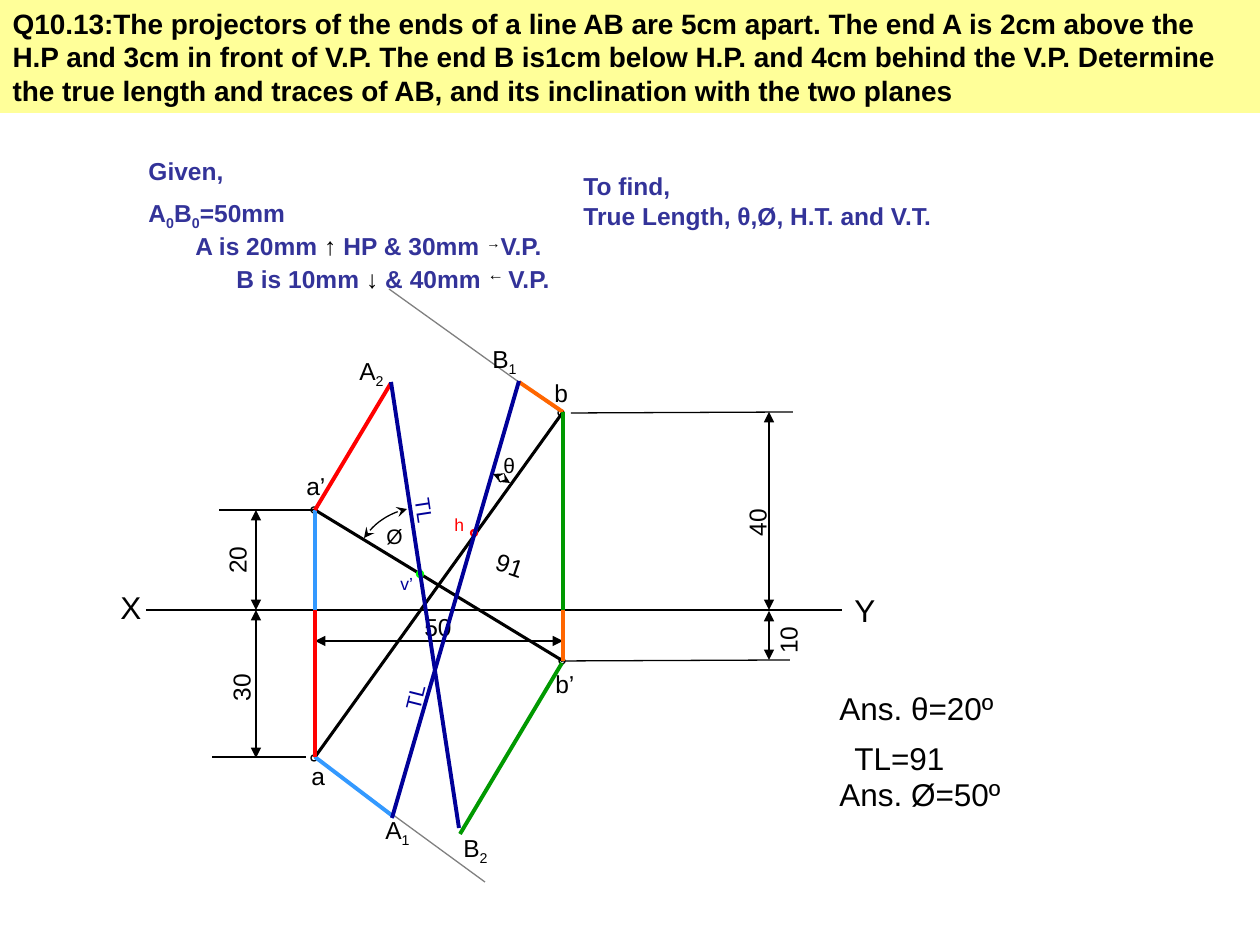
from pptx import Presentation
from pptx.dml.color import RGBColor
from pptx.enum.shapes import MSO_CONNECTOR as Link, MSO_SHAPE as Shape
from pptx.enum.text import MSO_ANCHOR as Anchor, MSO_AUTO_SIZE as Fit, PP_ALIGN as Align
from pptx.oxml.ns import qn
from pptx.util import Emu, Pt
from lxml.etree import SubElement

BLACK = RGBColor(0, 0, 0)
WHITE = RGBColor(255, 255, 255)
YELLOW = RGBColor(0xFF, 0xFF, 0x99)
INDIGO = RGBColor(0x33, 0x33, 0x99)
NAVY = RGBColor(0, 0, 0x99)
RED = RGBColor(255, 0, 0)
LIME = RGBColor(0, 255, 0)
GREEN = RGBColor(0, 0x99, 0)
BLUE = RGBColor(0x33, 0x99, 0xFF)
ORANGE = RGBColor(0xFF, 0x66, 0)
GREY = RGBColor(0x80, 0x80, 0x80)


def px(n):
    """Turn pixels into EMU."""
    return Emu(round(n * 914400 / 126))


class Sheet:
    """Draws labelled geometry on one slide in one typeface."""

    face = "Arial"

    def __init__(self, slide):
        self.slide = slide
        self.shapes = slide.shapes

    def font(self, font, size, color, bold=False):
        """Set the typeface, size, colour and weight."""
        font.name = self.face
        font.size = Pt(size)
        font.bold = bold
        font.color.rgb = color

    def place(self, shape, box):
        """Move a shape to a pixel box."""
        shape.left, shape.top, shape.width, shape.height = map(px, box)

    def title(self, text, box, size, fill):
        """Fill and format the title placeholder."""
        shape = self.shapes.title
        self.place(shape, box)
        shape.fill.solid()
        shape.fill.fore_color.rgb = fill
        frame = shape.text_frame
        frame.text = text
        frame.auto_size = Fit.NONE
        frame.vertical_anchor = Anchor.TOP
        para = frame.paragraphs[0]
        para.alignment = Align.LEFT
        self.font(para.font, size, BLACK, True)

    def run(self, para, text, base=0, **style):
        """Add a run, raised or lowered by a percentage."""
        run = para.add_run()
        run.text = text
        if style:
            self.font(run.font, **style)
        if base:
            run._r.get_or_add_rPr().set("baseline", str(base * 1000))

    def text(self, lines, box, size=14, color=BLACK, bold=False, turn=0):
        """Add a text box with one paragraph for each line."""
        shape = self.shapes.add_textbox(*map(px, box))
        shape.rotation = turn
        frame = shape.text_frame
        frame.word_wrap = True
        for i, line in enumerate(lines):
            para = frame.paragraphs[0] if i == 0 else frame.add_paragraph()
            self.font(para.font, size, color, bold)
            for text, base in [(line, 0)] if isinstance(line, str) else line:
                self.run(para, text, base)
        return shape

    def given(self, lines, box, size, color):
        """Add bold facts with indents and plain-coloured arrows."""
        shape = self.text([], box)
        shape.line.color.rgb = WHITE
        shape.line.width = Pt(0.75)
        frame = shape.text_frame
        for i, (indent, space, runs) in enumerate(lines):
            para = frame.paragraphs[0] if i == 0 else frame.add_paragraph()
            para._p.get_or_add_pPr().set("marL", str(px(indent)))
            para.space_before = Pt(space)
            for text, base in runs:
                arrow = text.strip() in "↑↓→←"
                big = text.strip() == "←"
                self.run(para, text, base, size=16 if big else size,
                         color=BLACK if arrow else color, bold=not big)

    def ends(self, shape, kind):
        """Put an arrowhead on both ends."""
        line = shape.line._get_or_add_ln()
        for tag in ("a:headEnd", "a:tailEnd"):
            SubElement(line, qn(tag)).set("type", kind)

    def line(self, start, end, color=BLACK, width=0.75, head=None):
        """Draw a straight line."""
        line = self.shapes.add_connector(Link.STRAIGHT, *map(px, start + end))
        line.line.color.rgb = color
        line.line.width = Pt(width)
        SubElement(line._element.spPr, qn("a:effectLst"))
        if head:
            self.ends(line, head)

    def dim(self, start, end, label, spot, turn=270):
        """Draw a dimension line and its value."""
        self.line(start, end, head="triangle")
        self.text([label], spot + (76, 42), turn=turn)

    def dot(self, spot, color=BLACK, width=0.75):
        """Draw a small open circle."""
        dot = self.shapes.add_shape(Shape.OVAL, *map(px, spot + (6, 6)))
        dot.shadow.inherit = False
        dot.fill.background()
        dot.line.color.rgb = color
        dot.line.width = Pt(width)

    def arc(self, a, b, c, d, steps=12):
        """Draw a cubic curve with an arrowhead at each end."""
        spots = []
        for i in range(steps + 1):
            t = i / steps
            u = 1 - t
            mix = (u ** 3, 3 * u * u * t, 3 * u * t * t, t ** 3)
            spots.append([px(sum(m * p[k] for m, p in zip(mix, (a, b, c, d))))
                          for k in (0, 1)])
        pen = self.shapes.build_freeform(*spots[0])
        pen.add_line_segments(spots[1:], close=False)
        arc = pen.convert_to_shape()
        arc.shadow.inherit = False
        arc.fill.background()
        arc.line.color.rgb = BLACK
        arc.line.width = Pt(0.75)
        self.ends(arc, "stealth")


def main():
    """Build the projection problem slide."""
    deck = Presentation()
    deck.slide_width, deck.slide_height = px(1260), px(945)
    s = Sheet(deck.slides.add_slide(deck.slide_layouts[5]))
    s.title("Q10.13:The projectors of the ends of a line AB are 5cm apart. The end A is 2cm "
            "above the H.P and 3cm in front of V.P. The end B is1cm below H.P. and 4cm behind "
            "the V.P. Determine the true length and traces of AB, and its inclination with "
            "the two planes", (0, 0, 1260, 113), 16, YELLOW)

    top_a, low_a = (315, 510), (315, 757)
    top_b, low_b = (563, 412), (563, 661)
    foot_a, foot_b = (315, 610), (563, 610)

    s.line((146, 610), (842, 610))
    for start, end in ((top_a, (219, 510)), ((306, 757), (212, 757)),
                       ((793, 412), (571, 413)), ((790, 660), low_b)):
        s.line(start, end)
    s.dim((315, 641), (563, 641), "50", (412, 606), 0)
    s.dim((256, 610), (256, 510), "20", (199, 527))
    s.dim((256, 758), (256, 610), "30", (203, 655))
    s.dim((769, 610), (769, 412), "40", (719, 490))
    s.dim((769, 660), (769, 611), "10", (750, 607))
    for spot in ((311, 507), (311, 755), (558, 410), (559, 658)):
        s.dot(spot)
    s.line(low_a, top_b, width=1.75)
    s.line(top_a, low_b, width=1.75)
    s.dot((471, 530), RED, 1.25)
    s.dot((417, 571), LIME, 1.25)

    s.given([
        (0, 0, [("Given,", 0)]),
        (0, 7, [("A", 0), ("0", -25), ("B", 0), ("0", -25), ("=50mm", 0)]),
        (47, 0, [("A is 20mm ", 0), ("↑", 0), (" HP & 30mm ", 0), ("→", 30), ("V.P.", 0)]),
        (88, 0, [("B is 10mm ", 0), ("↓", 0), (" & 40mm ", 0), ("← ", 30), ("V.P.", 0)]),
    ], (136, 150, 432, 150), 14, INDIGO)
    s.text(["To find,", "True Length, θ,Ø, H.T. and V.T."], (571, 165, 432, 72),
           color=INDIGO, bold=True)

    s.line((314, 757), (485, 882), GREY)
    s.line((389, 289), (562, 413), GREY)
    for start, end, color in (
            (foot_a, top_a, BLUE), ((394, 817), low_a, BLUE),
            (foot_b, low_b, ORANGE), ((519, 382), top_b, ORANGE),
            ((392, 818), (519, 381), NAVY),
            (foot_a, low_a, RED), ((391, 383), top_a, RED),
            (foot_b, top_b, GREEN), ((460, 834), (562, 663), GREEN),
            ((391, 382), (459, 828), NAVY)):
        s.line(start, end, color, 2.25)

    s.arc((493, 474), (499, 476), (505, 479), (510, 483))
    s.arc((407, 509), (389, 513), (374, 523), (364, 538))

    for label, spot in (("a’", (294, 465)), ("a", (299, 755)),
                        ("b", (542, 372)), ("b’", (543, 663))):
        s.text([label], spot + (53, 42))
    for name, sub, spot in (("A", "1", (373, 809)), ("B", "1", (480, 338)),
                            ("A", "2", (347, 350)), ("B", "2", (451, 827))):
        s.text([[(name, 0), (sub, -25)]], spot + (64, 42))
    s.text(["91"], (484, 544, 53, 42), turn=18.8)
    s.text(["h"], (442, 508, 50, 34), 10, RED)
    s.text(["v’"], (388, 567, 60, 34), 10, NAVY)
    s.text(["θ"], (491, 446, 35, 38), 12)
    s.text(["Ø"], (374, 517, 35, 38), 12)
    s.text(["TL"], (387, 674, 58, 38), 12, NAVY, turn=284.1)
    s.text(["TL"], (396, 496, 58, 38), 12, NAVY, turn=81.4)
    for label, box in (("X", (108, 582, 74, 50)), ("Y", (842, 585, 67, 50)),
                       ("Ans. θ=20º", (827, 683, 253, 50)),
                       ("TL=91", (842, 733, 161, 50)),
                       ("Ans. Ø=50º", (827, 769, 253, 50))):
        s.text([label], box, 18)
    deck.save("out.pptx")


if __name__ == "__main__":
    main()
